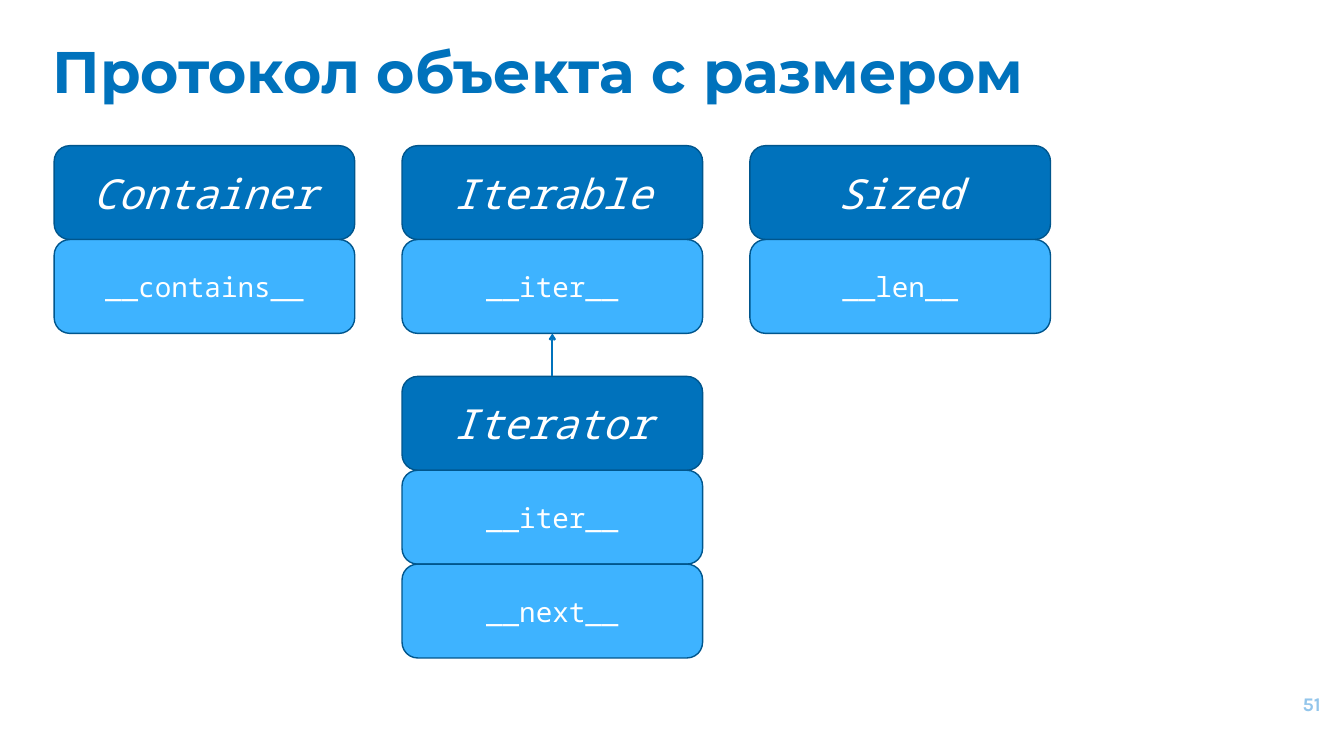
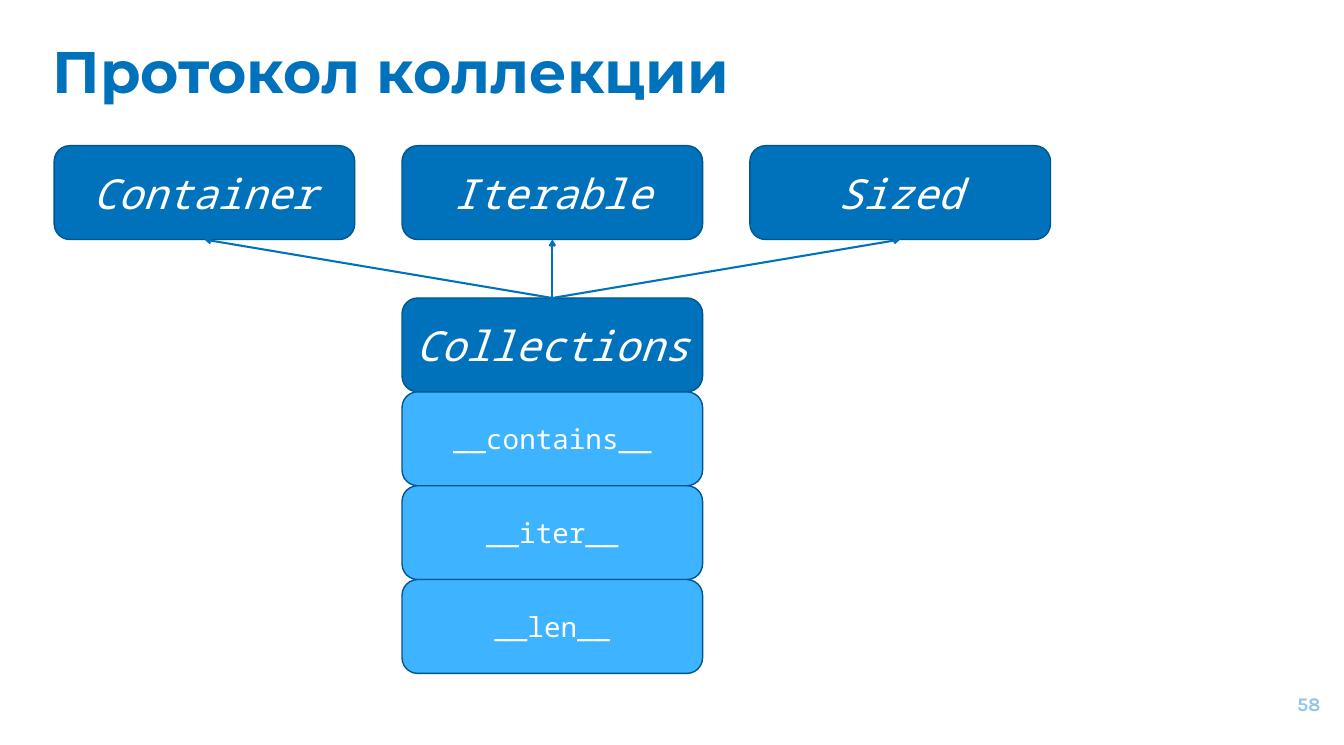
from lxml import etree
from pptx import Presentation
from pptx import util as u
from pptx.dml.color import RGBColor
from pptx.enum import shapes, text
from pptx.oxml import ns

COLORS = {
    "blue": "0072BC",
    "light": "3EB3FF",
    "outline": "00568D",
    "number": "92C5EB",
    "white": "FFFFFF",
}
SLIDE_W, SLIDE_H = 68.73, 38.1
LEFT, TOP = 2.77, 7.45
BOX_W, BOX_H = 15.37, 4.8
STEP = 17.79
INSET = 0.25


def rgb(name):
    return RGBColor.from_string(COLORS[name])


def write(tf, content, font, size, color, align, bold=False, italic=False):
    tf.word_wrap = True
    tf.auto_size = text.MSO_AUTO_SIZE.NONE
    tf.margin_left = tf.margin_right = u.Cm(INSET)
    p = tf.paragraphs[0]
    p.alignment = align
    r = p.add_run()
    r.text = content
    r.font.name = font
    r.font.size = u.Pt(size)
    r.font.bold = bold
    r.font.italic = italic
    r.font.color.rgb = rgb(color)


def add_title(s, content, width):
    sp = s.shapes.title
    sp.left, sp.top = u.Cm(2.44), u.Cm(1.55)
    sp.width, sp.height = u.Cm(width), u.Cm(4.88)
    tf = sp.text_frame
    tf.vertical_anchor = text.MSO_ANCHOR.TOP
    tf.margin_top = tf.margin_bottom = u.Cm(INSET)
    write(tf, content, "Montserrat", 85, "blue", text.PP_ALIGN.LEFT, bold=True)


def add_number(s, number):
    sp = s.shapes.add_textbox(u.Cm(63.68), u.Cm(34.54), u.Cm(4.11), u.Cm(2.92))
    tf = sp.text_frame
    tf.vertical_anchor = text.MSO_ANCHOR.MIDDLE
    tf.margin_top = tf.margin_bottom = u.Cm(INSET)
    write(tf, str(number), "Karla", 28, "number", text.PP_ALIGN.RIGHT, bold=True)


def add_box(s, content, x, y, fill, size, italic):
    sp = s.shapes.add_shape(
        shapes.MSO_SHAPE.FLOWCHART_ALTERNATE_PROCESS,
        u.Cm(x), u.Cm(y), u.Cm(BOX_W), u.Cm(BOX_H))
    sp.shadow.inherit = False
    sp.fill.solid()
    sp.fill.fore_color.rgb = rgb(fill)
    sp.line.color.rgb = rgb("outline")
    sp.line.width = u.Pt(2)
    sp.text_frame.vertical_anchor = text.MSO_ANCHOR.MIDDLE
    write(sp.text_frame, content, "Noto Sans Mono", size, "white",
          text.PP_ALIGN.CENTER, italic=italic)
    return sp


def add_protocol(s, name, methods, column, y=TOP):
    x = LEFT + column * STEP
    stack = [add_box(s, name, x, y, "blue", 60, True)]
    for row, method in enumerate(methods, 1):
        stack.append(add_box(s, method, x, y + row * BOX_H, "light", 40, False))
    return stack


def add_arrow(s, child, parent):
    cn = s.shapes.add_connector(shapes.MSO_CONNECTOR.STRAIGHT, 0, 0, 0, 0)
    cn.begin_connect(child[0], 0)
    cn.end_connect(parent[-1], 2)
    cn.line.color.rgb = rgb("blue")
    cn.line.width = u.Pt(3)
    etree.SubElement(cn.line._get_or_add_ln(), ns.qn("a:tailEnd"), type="arrow")
    etree.SubElement(cn._element.spPr, ns.qn("a:effectLst"))


def add_slide(prs, title, title_width, number):
    s = prs.slides.add_slide(prs.slide_layouts[5])
    add_title(s, title, title_width)
    add_number(s, number)
    return s


def sized_slide(prs):
    s = add_slide(prs, "Протокол объекта с размером", 58.9, 51)
    add_protocol(s, "Container", ["__contains__"], 0)
    iterable = add_protocol(s, "Iterable", ["__iter__"], 1)
    add_protocol(s, "Sized", ["__len__"], 2)
    iterator = add_protocol(s, "Iterator", ["__iter__", "__next__"], 1, 19.25)
    add_arrow(s, iterator, iterable)


def collection_slide(prs):
    s = add_slide(prs, "Протокол коллекции", 39.83, 58)
    parents = [add_protocol(s, name, [], column)
               for column, name in enumerate(["Container", "Iterable", "Sized"])]
    collection = add_protocol(
        s, "Collections", ["__contains__", "__iter__", "__len__"], 1, 15.24)
    for parent in parents:
        add_arrow(s, collection, parent)


def main():
    prs = Presentation()
    prs.slide_width, prs.slide_height = u.Cm(SLIDE_W), u.Cm(SLIDE_H)
    sized_slide(prs)
    collection_slide(prs)
    prs.save("out.pptx")


if __name__ == "__main__":
    main()
